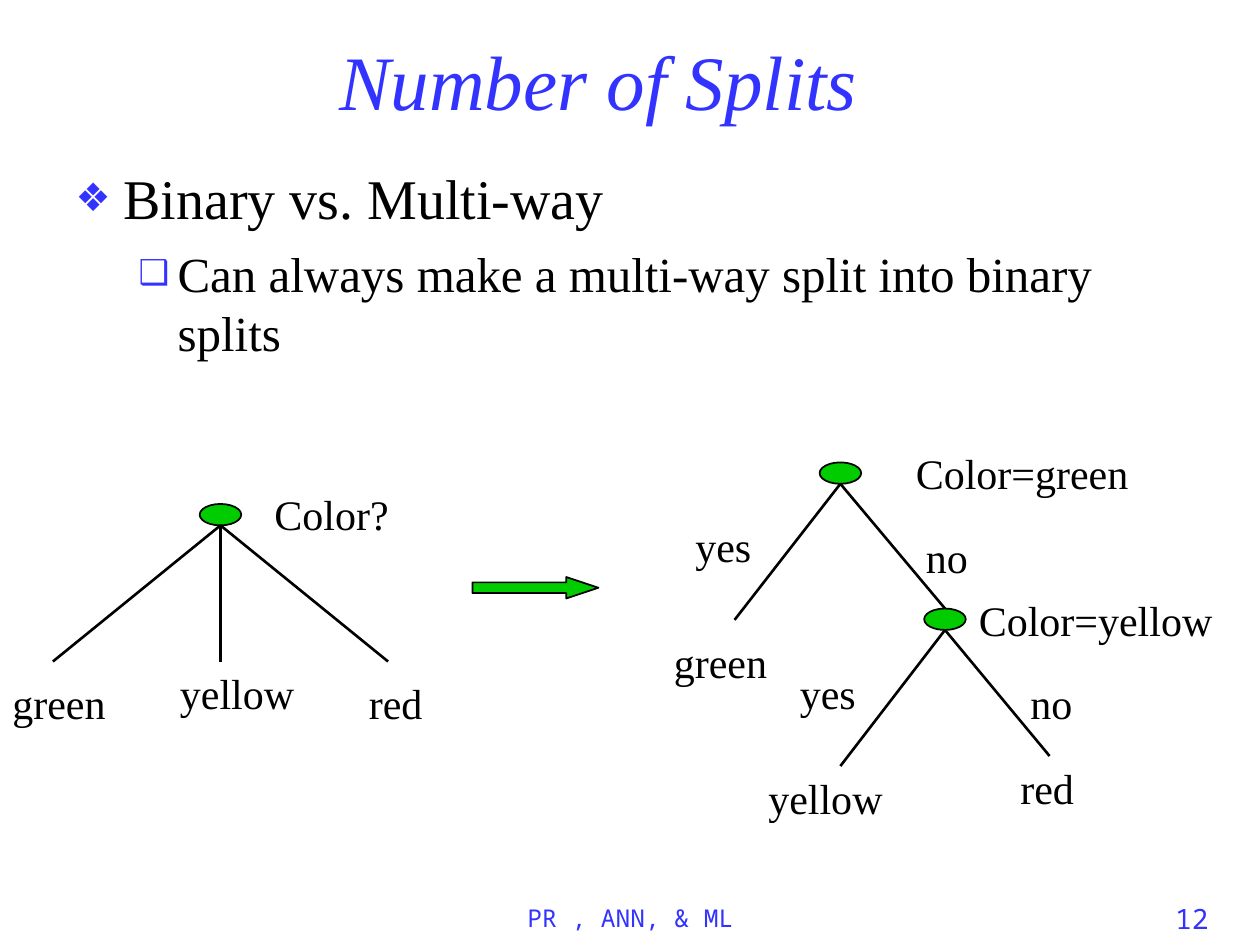
from lxml import etree
from pptx import Presentation
from pptx.dml.color import RGBColor
from pptx.enum.shapes import MSO_CONNECTOR, MSO_SHAPE
from pptx.enum.text import MSO_ANCHOR, MSO_AUTO_SIZE, PP_ALIGN
from pptx.oxml.ns import qn
from pptx.util import Inches, Pt

BLUE = RGBColor(0x33, 0x33, 0xFF)
GREEN = RGBColor(0x00, 0xCC, 0x00)
BLACK = RGBColor(0x00, 0x00, 0x00)
SERIF = "Times New Roman"
MONO = "Noto Sans Mono"
ELLIPSE = MSO_SHAPE.OVAL
ARROW = MSO_SHAPE.RIGHT_ARROW
STRAIGHT = MSO_CONNECTOR.STRAIGHT
MIDDLE, TOP = MSO_ANCHOR.MIDDLE, MSO_ANCHOR.TOP
CENTER = PP_ALIGN.CENTER
NO_FIT = MSO_AUTO_SIZE.NONE
NODE_WIDTH, NODE_HEIGHT = 0.33, 0.17


class SplitSlide:
    """Style of the deck and the slide being built."""

    def __init__(self, deck):
        self.slide = deck.slides.add_slide(deck.slide_layouts[1])
        self.shapes = self.slide.shapes

    def add_span(self, para, text, size, color=BLACK, font=SERIF, italic=False):
        span = para.add_run()
        span.text = text
        span.font.size = Pt(size)
        span.font.name = font
        span.font.italic = italic
        span.font.color.rgb = color

    def place(self, box, left, top, width, height, anchor):
        box.left, box.top = Inches(left), Inches(top)
        box.width, box.height = Inches(width), Inches(height)
        box.text_frame.auto_size = NO_FIT
        box.text_frame.vertical_anchor = anchor

    def title(self, text):
        box = self.shapes.title
        self.place(box, 0.5, 0.17, 8.5, 0.92, MIDDLE)
        para = box.text_frame.paragraphs[0]
        para.alignment = CENTER
        self.add_span(para, text, 44, BLUE, italic=True)

    def bullet(self, para, mark, margin, indent):
        props = para._p.get_or_add_pPr()
        props.set("marL", str(Inches(margin)))
        props.set("indent", str(Inches(indent)))
        color = etree.SubElement(props, qn("a:buClr"))
        etree.SubElement(color, qn("a:srgbClr"), val=str(BLUE))
        etree.SubElement(props, qn("a:buSzPct"), val="70000")
        etree.SubElement(props, qn("a:buChar"), char=mark)

    def body(self, items):
        box = self.slide.placeholders[1]
        self.place(box, 0.5, 1.25, 8.5, 5.42, TOP)
        frame = box.text_frame
        for level, (text, size, mark, margin, indent, before) in enumerate(items):
            para = frame.add_paragraph() if level else frame.paragraphs[0]
            para.level = level
            self.bullet(para, mark, margin, indent)
            para.space_before = Pt(before)
            self.add_span(para, text, size)

    def label(self, text, left, top, width):
        box = self.shapes.add_textbox(
            Inches(left), Inches(top), Inches(width), Inches(0.5))
        box.text_frame.word_wrap = True
        self.add_span(box.text_frame.paragraphs[0], text, 24)

    def footer(self, text, size, left, width):
        box = self.shapes.add_textbox(0, 0, 0, 0)
        self.place(box, left, 7.07, width, 0.43, MIDDLE)
        para = box.text_frame.paragraphs[0]
        para.alignment = CENTER
        self.add_span(para, text, size, BLUE, MONO)

    def figure(self, kind, left, top, width, height):
        shape = self.shapes.add_shape(
            kind, Inches(left), Inches(top), Inches(width), Inches(height))
        shape.shadow.inherit = False
        shape.fill.solid()
        shape.fill.fore_color.rgb = GREEN
        shape.line.color.rgb = BLACK
        shape.line.width = Pt(1)
        return shape

    def branch(self, start, end, weight):
        line = self.shapes.add_connector(
            STRAIGHT, *(Inches(value) for value in (*start, *end)))
        line.line.color.rgb = BLACK
        line.line.width = Pt(weight)
        etree.SubElement(line._element.spPr, qn("a:effectLst"))

    def node(self, x, top, branches):
        """Node centred on x, with lines from its foot to each branch end."""
        self.figure(ELLIPSE, x - NODE_WIDTH / 2, top, NODE_WIDTH, NODE_HEIGHT)
        for end_x, end_y, weight in branches:
            self.branch((x, top + NODE_HEIGHT), (end_x, end_y), weight)


def main():
    deck = Presentation()
    deck.slide_width, deck.slide_height = Inches(10), Inches(7.5)
    page = SplitSlide(deck)

    # Title, list and footer
    page.title("Number of Splits")
    page.body([
        ("Binary vs. Multi-way", 32, "❖", 0.38, -0.38, 0),
        ("Can always make a multi-way split into binary splits",
         28, "❑", 0.81, -0.31, 7),
    ])
    page.footer("PR , ANN, & ML", 14, 3.92, 2.17)
    page.footer("12", 16, 8.92, 1.08)

    # Multi-way tree
    page.node(1.75, 4, [(0.42, 5.25, 1.5), (3.08, 5.25, 1.5), (1.75, 5.25, 2.25)])

    # Arrow between the trees
    arrow = page.figure(ARROW, 3.75, 4.58, 1, 0.17)
    arrow.adjustments[0] = 0.5
    arrow.adjustments[1] = 1.5

    # Binary tree
    page.node(6.67, 3.67, [(7.5, 4.83, 1.5), (5.83, 4.92, 1.5)])
    page.node(7.5, 4.83, [(8.33, 6, 1.5), (6.67, 6.08, 1.5)])

    # Labels of both trees
    labels = [
        ("Color?", 2.08, 3.83, 1.33),
        ("green", 0, 5.33, 1),
        ("yellow", 1.33, 5.25, 1.17),
        ("red", 2.83, 5.33, 1.17),
        ("Color=green", 7.17, 3.5, 2.17),
        ("yes", 5.42, 4.08, 0.67),
        ("no", 7.25, 4.17, 0.67),
        ("green", 5.25, 5, 1),
        ("Color=yellow", 7.67, 4.67, 2.17),
        ("yes", 6.25, 5.25, 0.67),
        ("no", 8.08, 5.33, 0.67),
        ("yellow", 6, 6.08, 1.17),
        ("red", 8, 6, 1.17),
    ]
    for text, left, top, width in labels:
        page.label(text, left, top, width)

    deck.save("out.pptx")


if __name__ == "__main__":
    main()
